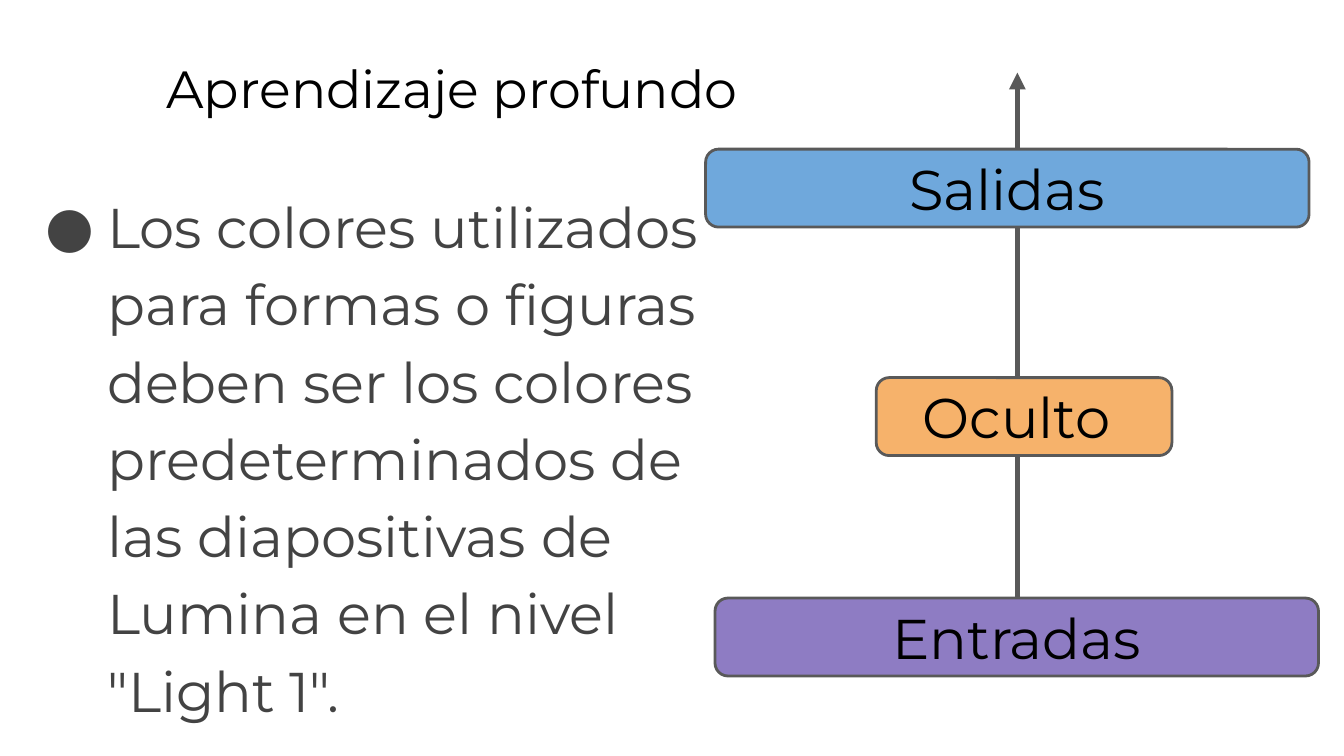
from pptx import Presentation
from pptx import util as u
from pptx.dml.color import RGBColor
from pptx.enum import shapes, text
from pptx.oxml.ns import qn
from lxml import etree

BLACK = RGBColor(0, 0, 0)
GREY = RGBColor(0x43, 0x43, 0x43)
EDGE = RGBColor(0x59, 0x59, 0x59)
BLUE = RGBColor(0x6F, 0xA8, 0xDC)
ORANGE = RGBColor(0xF6, 0xB2, 0x6B)
PURPLE = RGBColor(0x8E, 0x7C, 0xC3)
FONT = "Montserrat"


def put(item, form):
    for key, value in form.items():
        setattr(item, key, value)


def inch(*sizes):
    return [u.Inches(size) for size in sizes]


def write(shape, words, size, color, **form):
    pad = u.Inches(0.1)
    put(shape.text_frame, dict(
        word_wrap=True, margin_left=pad, margin_right=pad,
        margin_top=pad, margin_bottom=pad,
        vertical_anchor=text.MSO_ANCHOR.TOP) | form)
    para = shape.text_frame.paragraphs[0]
    run = para.add_run()
    run.text = words
    put(run.font, {"size": u.Pt(size), "name": FONT})
    run.font.color.rgb = color
    return para


def add_title(slide, box):
    write(slide.shapes.add_textbox(*inch(*box)), "Aprendizaje profundo", 28, BLACK)


def add_body(slide, box):
    words = ("Los colores utilizados para formas o figuras deben ser los colores "
             "predeterminados de las diapositivas de Lumina en el nivel \"Light 1\".")
    para = write(slide.shapes.add_textbox(*inch(*box)), words, 30, GREY)
    para.line_spacing = 1.15
    props = para._p.get_or_add_pPr()
    props.set("marL", str(u.Inches(0.5)))
    props.set("indent", str(u.Inches(-0.46)))
    tint = etree.SubElement(props, qn("a:buClr"))
    etree.SubElement(tint, qn("a:srgbClr")).set("val", str(GREY))
    etree.SubElement(props, qn("a:buFont")).set("typeface", FONT)
    etree.SubElement(props, qn("a:buChar")).set("char", "●")


def add_arrow(slide, x, low, high):
    arrow = slide.shapes.add_connector(
        shapes.MSO_CONNECTOR.STRAIGHT, *inch(x, low, x, high))
    arrow.line.color.rgb = EDGE
    arrow.line.width = u.Pt(3)
    tip = etree.SubElement(arrow.line._get_or_add_ln(), qn("a:tailEnd"))
    tip.set("type", "triangle")
    etree.SubElement(arrow._element.spPr, qn("a:effectLst"))


def add_layer(slide, box, words, fill):
    layer = slide.shapes.add_shape(
        shapes.MSO_SHAPE.ROUNDED_RECTANGLE, *inch(*box))
    layer.shadow.inherit = False
    layer.fill.solid()
    layer.fill.fore_color.rgb = fill
    layer.line.color.rgb = EDGE
    layer.line.width = u.Pt(1.5)
    para = write(layer, words, 30, BLACK, vertical_anchor=text.MSO_ANCHOR.MIDDLE)
    para.alignment = text.PP_ALIGN.CENTER


def add_net(slide, left, top):
    add_arrow(slide, left + 2.32, top + 4.49, top)
    tall, wide = 0.58, 4.49
    for x, y, width, words, fill in (
            (0.07, 3.91, wide, "Entradas", PURPLE),
            (1.27, 2.27, 2.2, "Oculto ", ORANGE),
            (0, 0.57, wide, "Salidas", BLUE)):
        add_layer(slide, (left + x, top + y, width, tall), words, fill)


deck = Presentation()
wide = u.Inches(10)
put(deck, {"slide_width": wide, "slide_height": wide * 9 // 16})
slide = deck.slides.add_slide(deck.slide_layouts[6])
add_title(slide, (1.14, 0.32, 8.52, 0.63))
add_body(slide, (0.2, 1.26, 5.44, 3.74))
add_net(slide, 5.25, 0.54)
deck.save("out.pptx")
